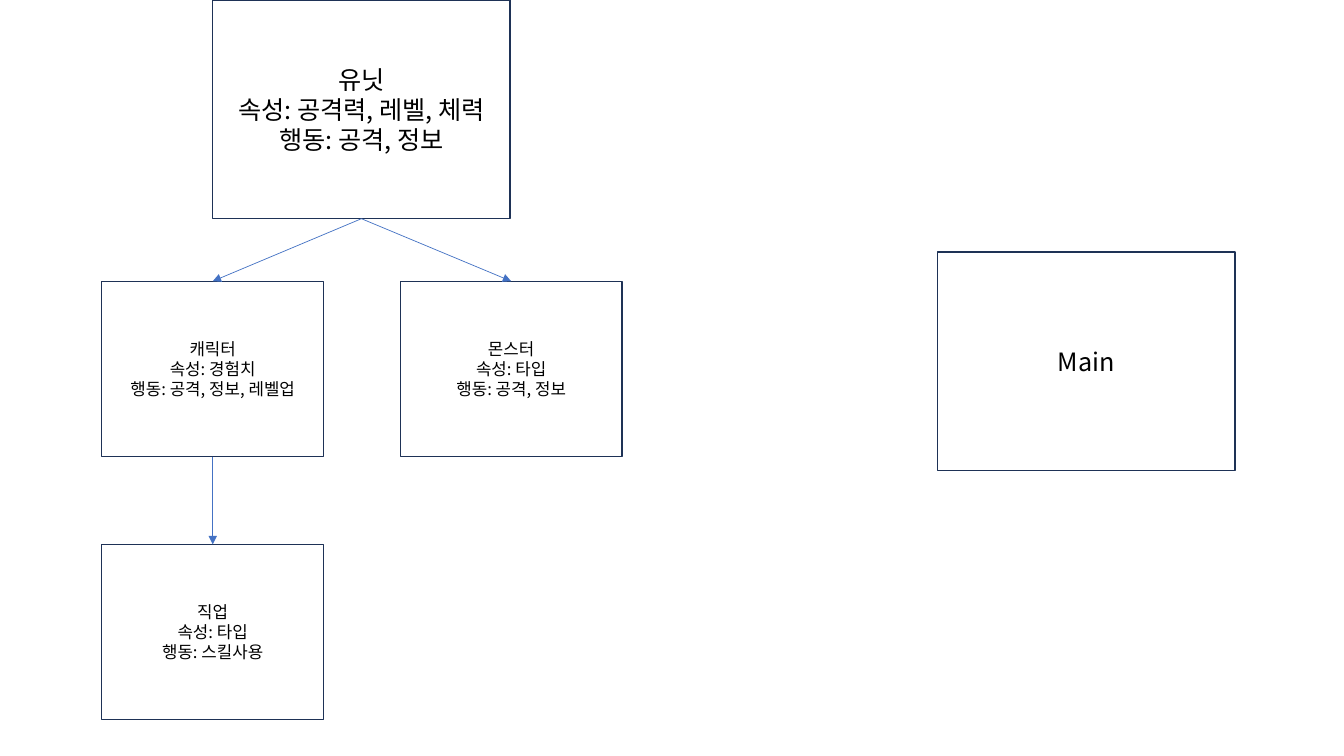
from dataclasses import dataclass

from lxml import etree
from pptx import Presentation
from pptx.dml.color import RGBColor
from pptx.enum.shapes import MSO_CONNECTOR, MSO_SHAPE
from pptx.enum.text import MSO_ANCHOR, PP_ALIGN
from pptx.oxml.ns import qn
from pptx.shapes.autoshape import Shape
from pptx.slide import Slide
from pptx.util import Inches, Pt

RECTANGLE = MSO_SHAPE.RECTANGLE
STRAIGHT = MSO_CONNECTOR.STRAIGHT
MIDDLE = MSO_ANCHOR.MIDDLE
CENTER = PP_ALIGN.CENTER

WHITE = RGBColor(0xFF, 0xFF, 0xFF)
BLACK = RGBColor(0x00, 0x00, 0x00)
NAVY = RGBColor(0x1E, 0x32, 0x56)
BLUE = RGBColor(0x44, 0x72, 0xC4)
FONT = "Noto Sans CJK KR"
TOP, BOTTOM = 0, 2


@dataclass(frozen=True)
class BoxStyle:
    width: float
    height: float
    font_size: int


@dataclass(frozen=True)
class ClassBox:
    name: str
    left: float
    top: float
    style: BoxStyle
    members: tuple[str, ...] = ()


@dataclass(frozen=True)
class Arrow:
    parent: str
    child: str


LARGE = BoxStyle(2.95, 2.17, 18)
SMALL = BoxStyle(2.2, 1.74, 12)

CLASS_BOXES = [
    ClassBox("캐릭터", 1.01, 2.79, SMALL, ("속성: 경험치", "행동: 공격, 정보, 레벨업")),
    ClassBox("몬스터", 3.97, 2.79, SMALL, ("속성: 타입", "행동: 공격, 정보")),
    ClassBox("Main", 9.3, 2.5, LARGE),
    ClassBox("직업", 1.01, 5.4, SMALL, ("속성: 타입", "행동: 스킬사용")),
    ClassBox("유닛", 2.11, 0, LARGE, ("속성: 공격력, 레벨, 체력", "행동: 공격, 정보")),
]
ARROWS = [Arrow("유닛", "캐릭터"), Arrow("유닛", "몬스터"), Arrow("캐릭터", "직업")]


def draw_box(slide: Slide, box: ClassBox) -> Shape:
    style = box.style
    shape = slide.shapes.add_shape(
        RECTANGLE, Inches(box.left), Inches(box.top),
        Inches(style.width), Inches(style.height),
    )
    shape.shadow.inherit = False
    shape.fill.solid()
    shape.fill.fore_color.rgb = WHITE
    shape.line.color.rgb = NAVY
    shape.line.width = Pt(1)

    text_frame = shape.text_frame
    text_frame.word_wrap = True
    text_frame.vertical_anchor = MIDDLE
    text_frame.text = "\n".join((box.name, *box.members))
    for paragraph in text_frame.paragraphs:
        paragraph.alignment = CENTER
        for run in paragraph.runs:
            run.font.size = Pt(style.font_size)
            run.font.color.rgb = BLACK
            run.font.name = FONT
            # Hangul takes its typeface from the East Asian font
            properties = run.font._element
            etree.SubElement(properties, qn("a:ea"), typeface=FONT)
    return shape


def draw_arrow(slide: Slide, parent: Shape, child: Shape) -> None:
    connector = slide.shapes.add_connector(STRAIGHT, 0, 0, 0, 0)
    connector.begin_connect(parent, BOTTOM)
    connector.end_connect(child, TOP)
    connector.line.color.rgb = BLUE
    connector.line.width = Pt(0.5)

    # Arrowhead at the child, no shadow
    properties = connector._element.spPr
    etree.SubElement(properties.find(qn("a:ln")), qn("a:tailEnd"), type="triangle")
    etree.SubElement(properties, qn("a:effectLst"))


def main() -> None:
    presentation = Presentation()
    presentation.slide_width = Inches(13.33)
    presentation.slide_height = Inches(7.5)
    slide = presentation.slides.add_slide(presentation.slide_layouts[6])

    # Class boxes
    shapes = {box.name: draw_box(slide, box) for box in CLASS_BOXES}

    # Inheritance arrows
    for arrow in ARROWS:
        draw_arrow(slide, shapes[arrow.parent], shapes[arrow.child])

    presentation.save("out.pptx")


if __name__ == "__main__":
    main()
